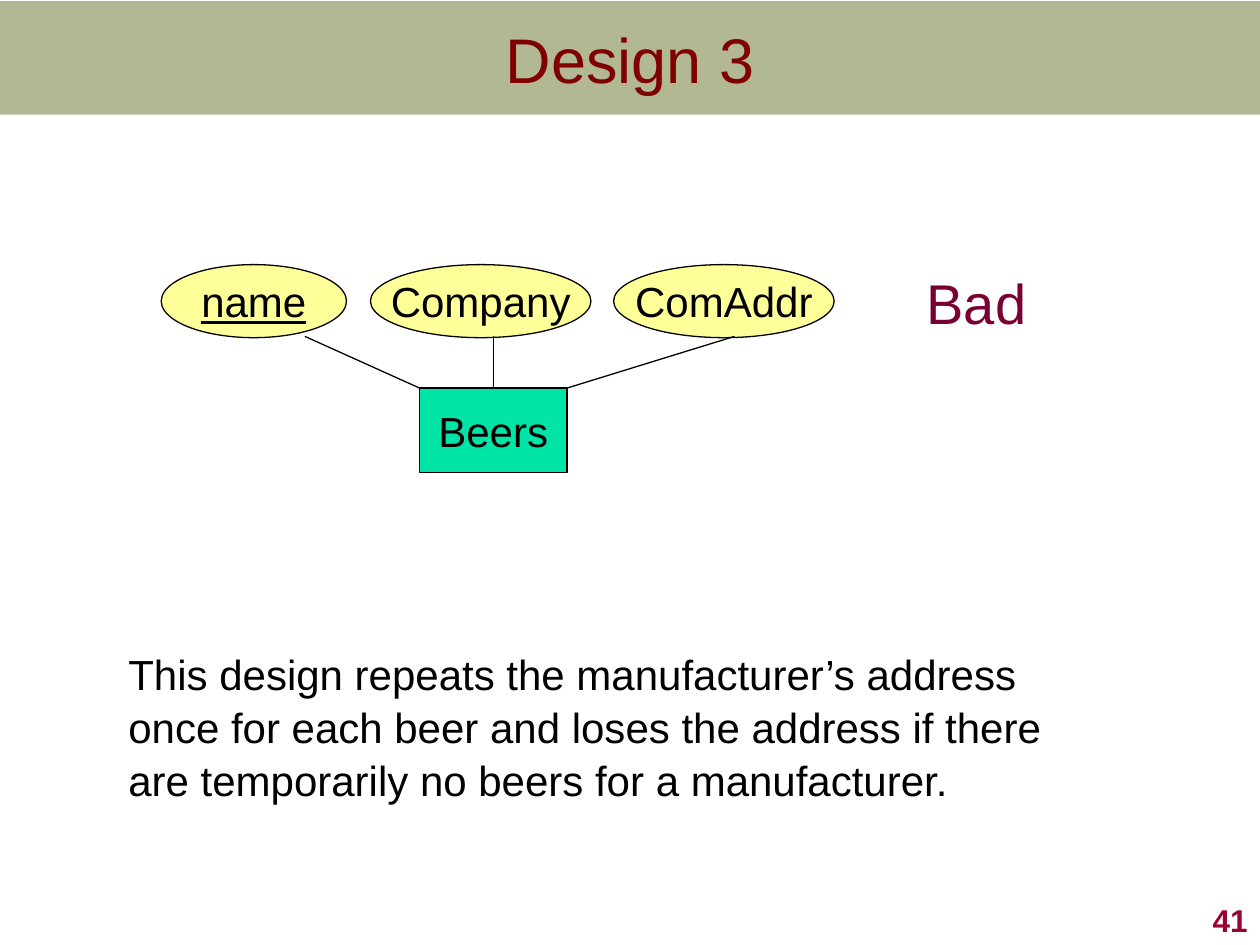
from lxml.etree import SubElement
from pptx import Presentation
from pptx.dml.color import RGBColor
from pptx.enum.shapes import MSO_CONNECTOR, MSO_SHAPE
from pptx.enum.text import MSO_ANCHOR, PP_ALIGN
from pptx.oxml.ns import qn
from pptx.util import Inches, Pt

BLACK = "000000"


def color(hex_string):
    return RGBColor.from_string(hex_string)


def write(shape, text, size, text_color=BLACK, align=PP_ALIGN.CENTER,
          anchor=MSO_ANCHOR.MIDDLE, wrap=False):
    """Fill a shape with one paragraph and return that paragraph."""
    frame = shape.text_frame
    frame.word_wrap = wrap
    frame.vertical_anchor = anchor
    paragraph = frame.paragraphs[0]
    paragraph.text = text
    paragraph.alignment = align
    paragraph.font.name = "Arial"
    paragraph.font.size = Pt(size)
    paragraph.font.color.rgb = color(text_color)
    return paragraph


def place(shape, left, top, width, height):
    shape.left, shape.top = Inches(left), Inches(top)
    shape.width, shape.height = Inches(width), Inches(height)


def add_title(slide, text, left, top, width, height):
    title = slide.shapes.title
    place(title, left, top, width, height)
    write(title, text, 36, "800000", wrap=True)

    band = slide.shapes.add_shape(
        MSO_SHAPE.RECTANGLE, Inches(left), Inches(top + 0.01),
        Inches(width), Inches(0.9))
    band.shadow.inherit = False
    band.line.fill.background()
    band.fill.solid()
    band.fill.fore_color.rgb = color("677228")
    fill_color = band.element.spPr.find(".//" + qn("a:srgbClr"))
    SubElement(fill_color, qn("a:alpha"), val="50000")
    title.element.addprevious(band.element)


def add_node(slide, kind, text, fill, left, top, width, height):
    node = slide.shapes.add_shape(
        kind, Inches(left), Inches(top), Inches(width), Inches(height))
    node.shadow.inherit = False
    node.fill.solid()
    node.fill.fore_color.rgb = color(fill)
    node.line.color.rgb = color(BLACK)
    node.line.width = Pt(0.75)
    write(node, text, 24)
    return node


def add_line(slide, start, end):
    line = slide.shapes.add_connector(
        MSO_CONNECTOR.STRAIGHT, *(Inches(value) for value in start + end))
    line.line.color.rgb = color(BLACK)
    line.line.width = Pt(0.75)
    SubElement(line.element.spPr, qn("a:effectLst"))
    return line


def add_entity_diagram(slide, left, top):
    """Draw the entity with its attributes above and lines between them."""
    entity_left, entity_top, entity_width = left + 2.05, top + 0.98, 1.17
    entity = add_node(slide, MSO_SHAPE.RECTANGLE, "Beers", "00E4A8",
                      entity_left, entity_top, entity_width, 0.67)
    attributes = [("name", 0, 1.47), ("Company", 1.66, 1.75),
                  ("ComAddr", 3.59, 1.75)]
    for text, offset, width in attributes:
        node = add_node(slide, MSO_SHAPE.OVAL, text, "FFFF99",
                        left + offset, top, width, 0.58)
        node.text_frame.paragraphs[0].font.underline = text == "name" or None

    line_top = top + 0.57
    middle = entity_left + entity_width / 2
    add_line(slide, (left + 1.14, line_top), (entity_left, entity_top))
    middle_line = add_line(slide, (middle, line_top), (middle, entity_top))
    middle_line.end_connect(entity, 0)
    add_line(slide, (left + 4.55, line_top),
             (entity_left + entity_width, entity_top))


def add_text(slide, text, size, left, top, width, height, **style):
    box = slide.shapes.add_textbox(
        Inches(left), Inches(top), Inches(width), Inches(height))
    return write(box, text, size, **style)


def main():
    presentation = Presentation()
    presentation.slide_width = Inches(10)
    presentation.slide_height = Inches(7.5)
    slide = presentation.slides.add_slide(presentation.slide_layouts[5])

    add_title(slide, "Design 3", 0, 0, 10, 0.92)
    add_entity_diagram(slide, 1.28, 2.1)
    add_text(slide, "Bad", 32, 7.25, 2.08, 1, 0.64,
             text_color="790033", anchor=MSO_ANCHOR.TOP)
    explanation = add_text(
        slide,
        "This design repeats the manufacturer’s address once for each beer "
        "and loses the address if there are temporarily no beers for a "
        "manufacturer.",
        24, 0.92, 5.08, 7.52, 1.3,
        align=PP_ALIGN.LEFT, anchor=MSO_ANCHOR.TOP, wrap=True)
    explanation.line_spacing = 1.05
    page_number = add_text(
        slide, "41", 18, 7.92, 7, 2.08, 0.5, text_color="990033",
        align=PP_ALIGN.RIGHT, anchor=MSO_ANCHOR.BOTTOM, wrap=True)
    page_number.font.bold = True

    presentation.save("out.pptx")


if __name__ == "__main__":
    main()
